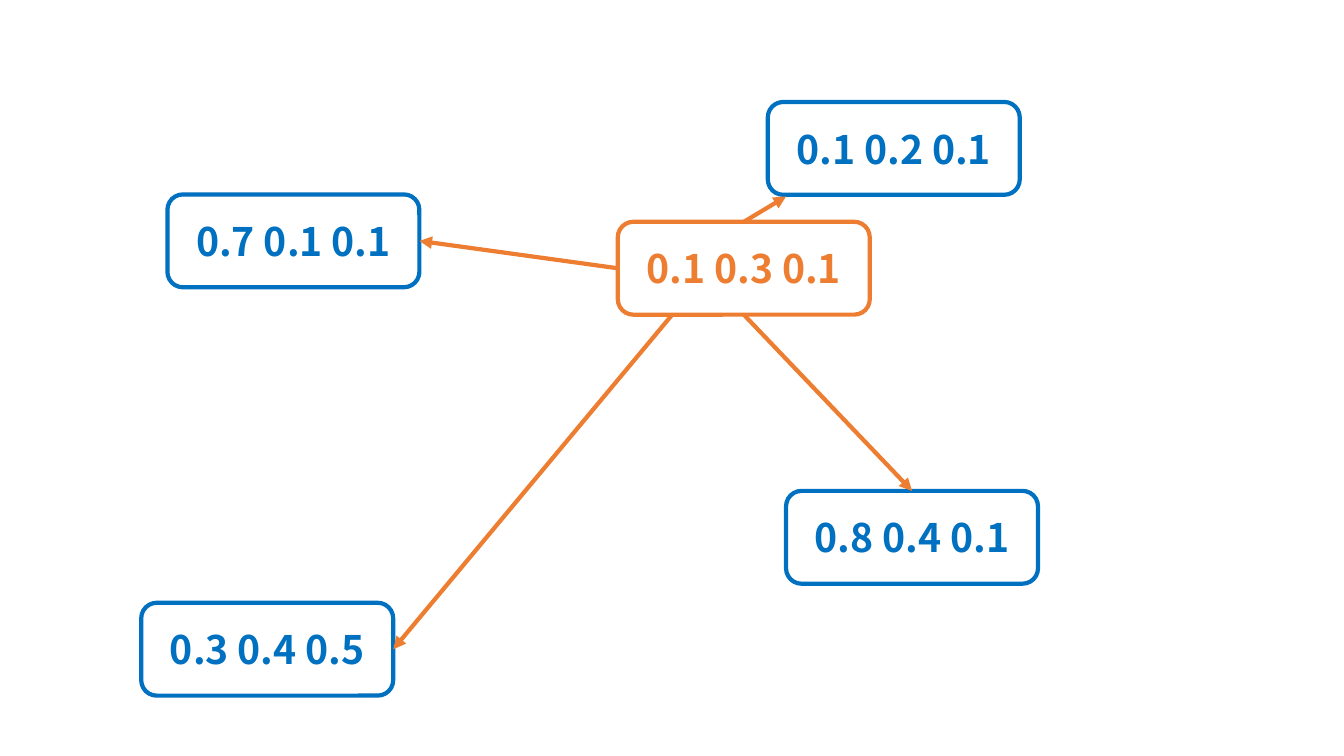
from pptx import Presentation
from pptx.dml.color import RGBColor
from pptx.enum import shapes, text
from pptx.oxml.ns import qn
from pptx.util import Cm, Pt
from lxml import etree

BLUE = RGBColor(0x00, 0x70, 0xC0)
ORANGE = RGBColor(0xED, 0x7D, 0x31)
WHITE = RGBColor(0xFF, 0xFF, 0xFF)
FONT = "Noto Sans CJK SC"
BOX_WIDTH, BOX_HEIGHT = 6.35, 2.34
TOP, LEFT, BOTTOM, RIGHT = range(4)

presentation = Presentation()
presentation.slide_width = Cm(33.87)
presentation.slide_height = Cm(19.05)
slide = presentation.slides.add_slide(presentation.slide_layouts[6])

vectors = [
    ("0.1 0.2 0.1", 19.35, 2.57, BLUE),
    ("0.7 0.1 0.1", 4.22, 4.9, BLUE),
    ("0.8 0.4 0.1", 19.81, 12.37, BLUE),
    ("0.3 0.4 0.5", 3.56, 15.19, BLUE),
    ("0.1 0.3 0.1", 15.57, 5.59, ORANGE),
]
boxes = {}
for label, left, top, color in vectors:
    box = slide.shapes.add_shape(
        shapes.MSO_SHAPE.ROUNDED_RECTANGLE,
        Cm(left), Cm(top), Cm(BOX_WIDTH), Cm(BOX_HEIGHT))
    box.shadow.inherit = False
    box.fill.solid()
    box.fill.fore_color.rgb = WHITE
    box.line.color.rgb = color
    box.line.width = Pt(3)
    box.text_frame.vertical_anchor = text.MSO_ANCHOR.MIDDLE
    paragraph = box.text_frame.paragraphs[0]
    paragraph.text = label
    paragraph.alignment = text.PP_ALIGN.CENTER
    paragraph.font.name = FONT
    paragraph.font.size = Pt(28)
    paragraph.font.bold = True
    paragraph.font.color.rgb = color
    boxes[label] = box

query = boxes["0.1 0.3 0.1"]
arrows = [
    ("0.8 0.4 0.1", (18.75, 7.93), BOTTOM, (22.99, 12.37), TOP),
    ("0.7 0.1 0.1", (15.57, 6.76), LEFT, (10.57, 6.07), RIGHT),
    ("0.3 0.4 0.5", (16.94, 7.93), None, (9.91, 16.36), RIGHT),
    ("0.1 0.2 0.1", (18.75, 5.59), TOP, (19.81, 4.95), None),
]
for target, start, start_site, end, end_site in arrows:
    arrow = slide.shapes.add_connector(
        shapes.MSO_CONNECTOR.STRAIGHT, *map(Cm, start + end))
    if start_site is not None:
        arrow.begin_connect(query, start_site)
    if end_site is not None:
        arrow.end_connect(boxes[target], end_site)
    arrow.line.color.rgb = ORANGE
    arrow.line.width = Pt(3)
    etree.SubElement(arrow.line._get_or_add_ln(), qn("a:tailEnd"), type="triangle")
    etree.SubElement(arrow._element.spPr, qn("a:effectLst"))

presentation.save("out.pptx")
